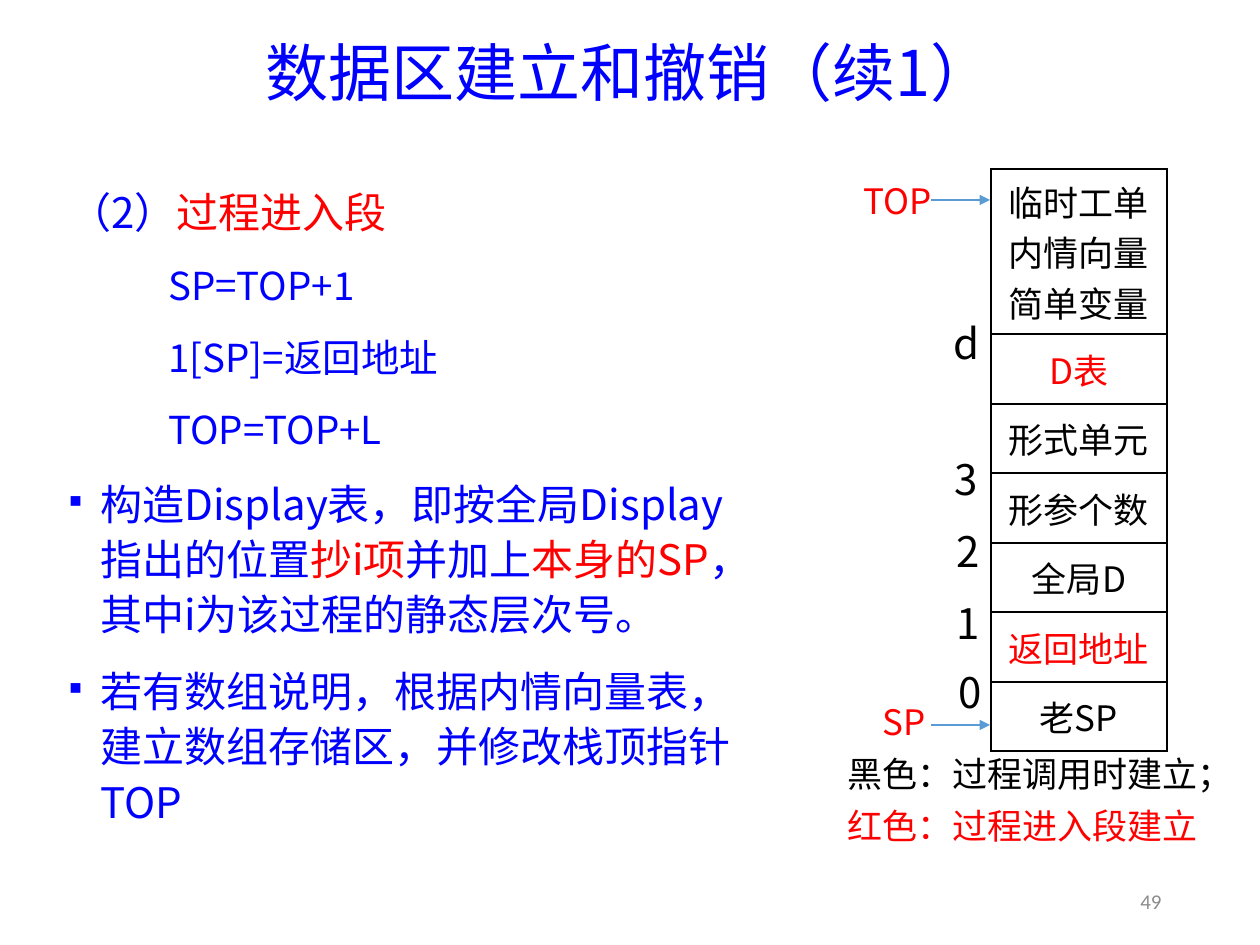
from dataclasses import dataclass

from lxml import etree
from pptx import Presentation
from pptx import util as u
from pptx.dml.color import RGBColor
from pptx.enum import shapes, text
from pptx.oxml import ns

PX = 914400 / 126


@dataclass(frozen=True)
class Theme:
    blue: str = "0000FF"
    red: str = "FF0000"
    black: str = "000000"
    arrow: str = "5B9BD5"
    grey: str = "8C8C8C"
    title_font: str = "Noto Sans CJK JP"
    body_font: str = "Noto Sans CJK SC"
    number_font: str = "Calibri"
    title: int = 36
    body: int = 24
    code: int = 22
    label: int = 20
    number: int = 12


THEME = Theme()
CENTER = text.PP_ALIGN.CENTER


def px(length):
    return u.Emu(round(length * PX))


def box(left, top, width, height):
    return [px(side) for side in (left, top, width, height)]


def add_xml(parent, tag, **attributes):
    return etree.SubElement(parent, ns.qn(tag), attributes)


def write(paragraph, content, size=THEME.label, color=THEME.black,
          font=THEME.body_font, align=None, spacing=None, before=0, after=0,
          margin=0, indent=0, bullet=None):
    properties = paragraph._p.get_or_add_pPr()
    properties.set("marL", str(px(margin)))
    properties.set("indent", str(px(indent)))
    if bullet:
        add_xml(properties, "a:buSzPct", val="40000")
        add_xml(properties, "a:buChar", char=bullet)
    if align is not None:
        paragraph.alignment = align
    if spacing:
        paragraph.line_spacing = spacing
    paragraph.space_before = u.Pt(before)
    paragraph.space_after = u.Pt(after)
    pieces = [(content, color)] if isinstance(content, str) else content
    for words, tint in pieces:
        run = paragraph.add_run()
        run.text = words
        run.font.size = u.Pt(size)
        run.font.name = font
        run.font.color.rgb = RGBColor.from_string(tint)
        add_xml(run._r.get_or_add_rPr(), "a:ea", typeface=font)


def paragraphs(frame, count):
    return [frame.paragraphs[0]] + [frame.add_paragraph() for _ in range(count - 1)]


def add_box(slide, place, contents, anchor=text.MSO_ANCHOR.MIDDLE, **style):
    frame = slide.shapes.add_textbox(*box(*place)).text_frame
    frame.word_wrap = True
    frame.vertical_anchor = anchor
    for paragraph, content in zip(paragraphs(frame, len(contents)), contents):
        write(paragraph, content, **style)


def add_title(slide, words):
    title = slide.shapes.title
    title.left, title.top, title.width, title.height = box(87, 34, 1086, 84)
    title.text_frame.vertical_anchor = text.MSO_ANCHOR.MIDDLE
    write(title.text_frame.paragraphs[0], words, size=THEME.title, color=THEME.blue,
          font=THEME.title_font, align=CENTER, spacing=0.9)


def add_explanation(slide):
    blue, red = THEME.blue, THEME.red
    heading = dict(size=THEME.body, margin=31, indent=-31)
    code = dict(size=THEME.code, margin=95, indent=4)
    point = dict(heading, bullet="■")
    steps = [
        ([("（2）", blue), ("过程进入段", red)], heading),
        ("SP=TOP+1", code),
        ("1[SP]=返回地址", code),
        ("TOP=TOP+L", code),
        ([("构造Display表，即按全局Display指出的位置", blue), ("抄i项", red),
          ("并加上", blue), ("本身的SP", red),
          ("，其中i为该过程的静态层次号。", blue)], point),
        ("若有数组说明，根据内情向量表，建立数组存储区，并修改栈顶指针TOP", point),
    ]
    frame = slide.shapes.add_textbox(*box(57, 175, 720, 646)).text_frame
    frame.word_wrap = True
    for number, (paragraph, (content, style)) in enumerate(
            zip(paragraphs(frame, len(steps)), steps)):
        write(paragraph, content, color=blue, spacing=1.1,
              before=6 if number else 0, after=6, **style)


def add_border(cell):
    properties = cell._tc.get_or_add_tcPr()
    for position, side in enumerate(("a:lnL", "a:lnR", "a:lnT", "a:lnB")):
        line = etree.Element(ns.qn(side), w=str(u.Pt(1)))
        add_xml(add_xml(line, "a:solidFill"), "a:srgbClr", val=THEME.black)
        properties.insert(position, line)


def add_stack(slide):
    areas = [
        (("临时工单", "内情向量", "简单变量"), THEME.black),
        (("D表",), THEME.red),
        (("形式单元",), THEME.black),
        (("形参个数",), THEME.black),
        (("全局D",), THEME.black),
        (("返回地址",), THEME.red),
        (("老SP",), THEME.black),
    ]
    heights = [165] + [70, 69] * 3
    stack = slide.shapes.add_table(
        len(areas), 1, *box(991, 169, 176, sum(heights))).table
    stack.first_row = stack.horz_banding = False
    for row, height, (lines, color) in zip(stack.rows, heights, areas):
        row.height = px(height)
        cell = row.cells[0]
        cell.fill.background()
        cell.vertical_anchor = text.MSO_ANCHOR.MIDDLE
        add_border(cell)
        for paragraph, line in zip(paragraphs(cell.text_frame, len(lines)), lines):
            write(paragraph, line, color=color, align=CENTER)


def add_pointer(slide, name, place, level):
    arrow = slide.shapes.add_connector(
        shapes.MSO_CONNECTOR.STRAIGHT, px(931), px(level), px(990), px(level))
    arrow.line.color.rgb = RGBColor.from_string(THEME.arrow)
    arrow.line.width = u.Pt(1.5)
    add_xml(arrow.line._get_or_add_ln(), "a:tailEnd", type="triangle")
    add_xml(arrow._element.spPr, "a:effectLst")
    add_box(slide, place, [name], color=THEME.red, align=CENTER)


def main():
    deck = Presentation()
    deck.slide_width, deck.slide_height = px(1260), px(945)
    slide = deck.slides.add_slide(deck.slide_layouts[5])
    add_title(slide, "数据区建立和撤销（续1）")
    add_explanation(slide)
    add_stack(slide)
    add_pointer(slide, "TOP", (830, 166, 135, 69), 200)
    add_pointer(slide, "SP", (854, 687, 100, 69), 725)
    offsets = [("d", 932, 311), ("3", 932, 447), ("2", 934, 519),
               ("1", 934, 591), ("0", 936, 660)]
    for offset, left, top in offsets:
        add_box(slide, (left, top, 69, 63), [offset], size=THEME.body, align=CENTER)
    add_box(slide, (835, 751, 417, 105),
            [[("黑色：过程调用时建立；", THEME.black)],
             [("红色：过程进入段建立", THEME.red)]], spacing=0.8, after=10)
    add_box(slide, (1090, 876, 84, 50), ["49"], size=THEME.number,
            color=THEME.grey, font=THEME.number_font, align=text.PP_ALIGN.RIGHT)
    deck.save("out.pptx")


if __name__ == "__main__":
    main()
